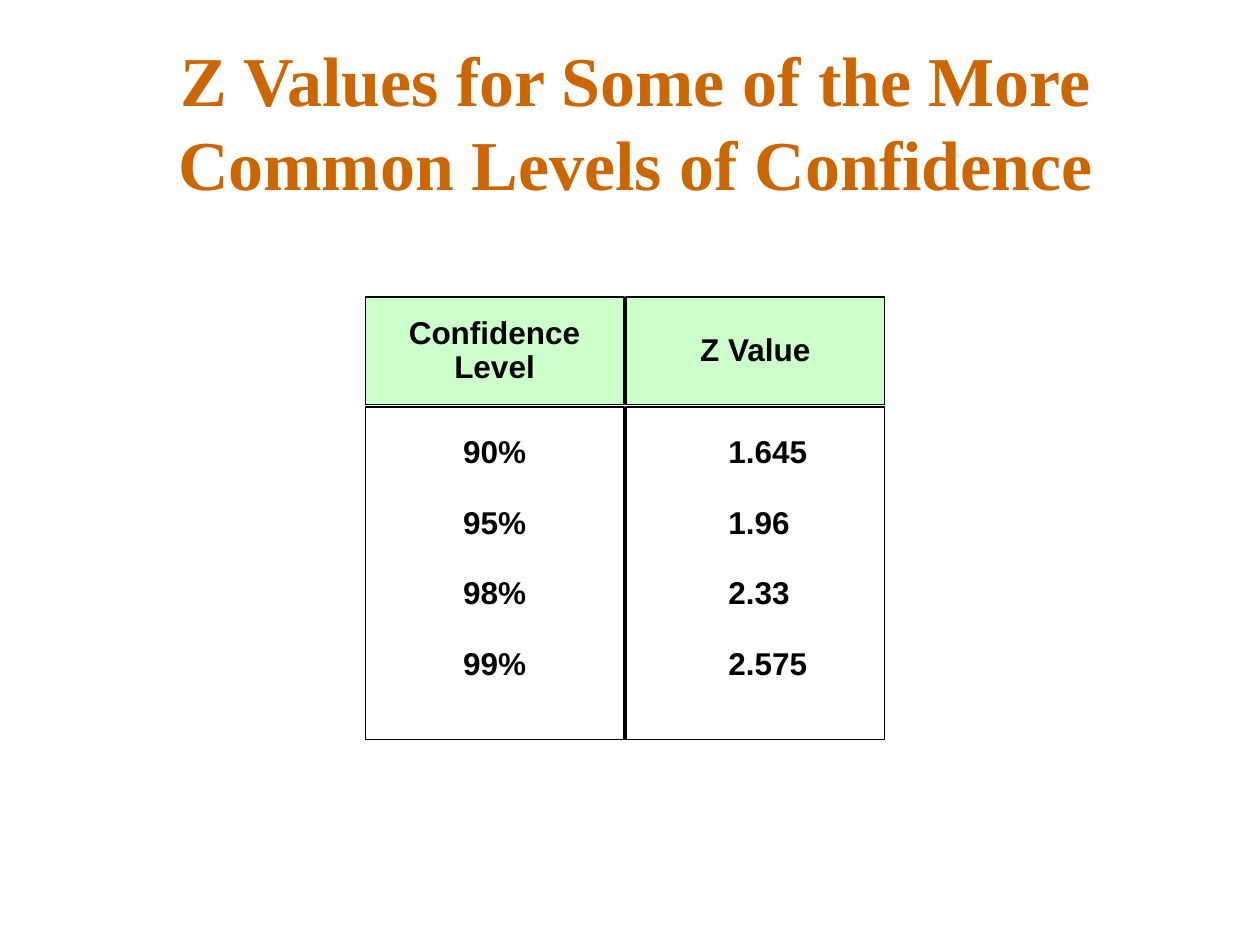
from pptx import Presentation
from pptx.dml.color import RGBColor
from pptx.enum.shapes import MSO_SHAPE
from pptx.enum.text import MSO_ANCHOR, MSO_AUTO_SIZE, PP_ALIGN
from pptx.oxml.ns import qn
from pptx.util import Inches, Pt
from lxml.etree import SubElement

ORANGE = RGBColor(0xCC, 0x66, 0x00)
GREEN = RGBColor(0xCC, 0xFF, 0xCC)
WHITE = RGBColor(0xFF, 0xFF, 0xFF)
BLACK = RGBColor(0, 0, 0)


def style(font, name, size, color):
    font.name = name
    font.size = Pt(size)
    font.bold = True
    font.color.rgb = color


def add_cell(group, x, y, h, fill):
    """Add an outlined box of column width and return its text frame."""
    box = group.shapes.add_shape(
        MSO_SHAPE.RECTANGLE, Inches(x), Inches(y), Inches(2.05), Inches(h))
    box.shadow.inherit = False
    box.fill.solid()
    box.fill.fore_color.rgb = fill
    box.line.color.rgb = BLACK
    box.line.width = Pt(1)
    box.text_frame.word_wrap = True
    return box.text_frame


prs = Presentation()
prs.slide_width = Inches(10)
prs.slide_height = Inches(7.5)
slide = prs.slides.add_slide(prs.slide_layouts[5])

title = slide.shapes.title
title.left, title.top = Inches(0.42), Inches(0.33)
title.width, title.height = Inches(9.25), Inches(1.25)
frame = title.text_frame
frame.text = "Z Values for Some of the More Common Levels of Confidence"
frame.auto_size = MSO_AUTO_SIZE.NONE
frame.vertical_anchor = MSO_ANCHOR.MIDDLE
frame.paragraphs[0].alignment = PP_ALIGN.CENTER
style(frame.paragraphs[0].runs[0].font, "Times New Roman", 40, ORANGE)

columns = [
    (2.9, "Confidence Level", ["90%", "95%", "98%", "99%"], False),
    (4.97, "Z Value", ["1.645", "1.96", "2.33", "2.575"], True),
]
group = slide.shapes.add_group_shape()

for x, head, values, decimal in columns:
    body = add_cell(group, x, 3.23, 2.64, WHITE)
    body.vertical_anchor = MSO_ANCHOR.TOP
    body.margin_left = body.margin_right = Inches(0.2)
    body.margin_top = body.margin_bottom = Inches(0.2)
    for i, value in enumerate(values):
        para = body.paragraphs[0] if i == 0 else body.add_paragraph()
        para.text = "\t" + value if decimal else value
        para.alignment = PP_ALIGN.LEFT if decimal else PP_ALIGN.CENTER
        if i:
            para.space_before = Pt(18.7)
        if decimal:
            tabs = SubElement(para._p.get_or_add_pPr(), qn("a:tabLst"))
            SubElement(tabs, qn("a:tab"), pos=str(Inches(0.75)), algn="dec")
        style(para.runs[0].font, "Arial", 18, BLACK)

    top = add_cell(group, x, 2.36, 0.85, GREEN)
    top.vertical_anchor = MSO_ANCHOR.MIDDLE
    top.text = head
    para = top.paragraphs[0]
    para.alignment = PP_ALIGN.CENTER
    para.line_spacing = 0.9
    style(para.runs[0].font, "Arial", 18, BLACK)

prs.save("out.pptx")
